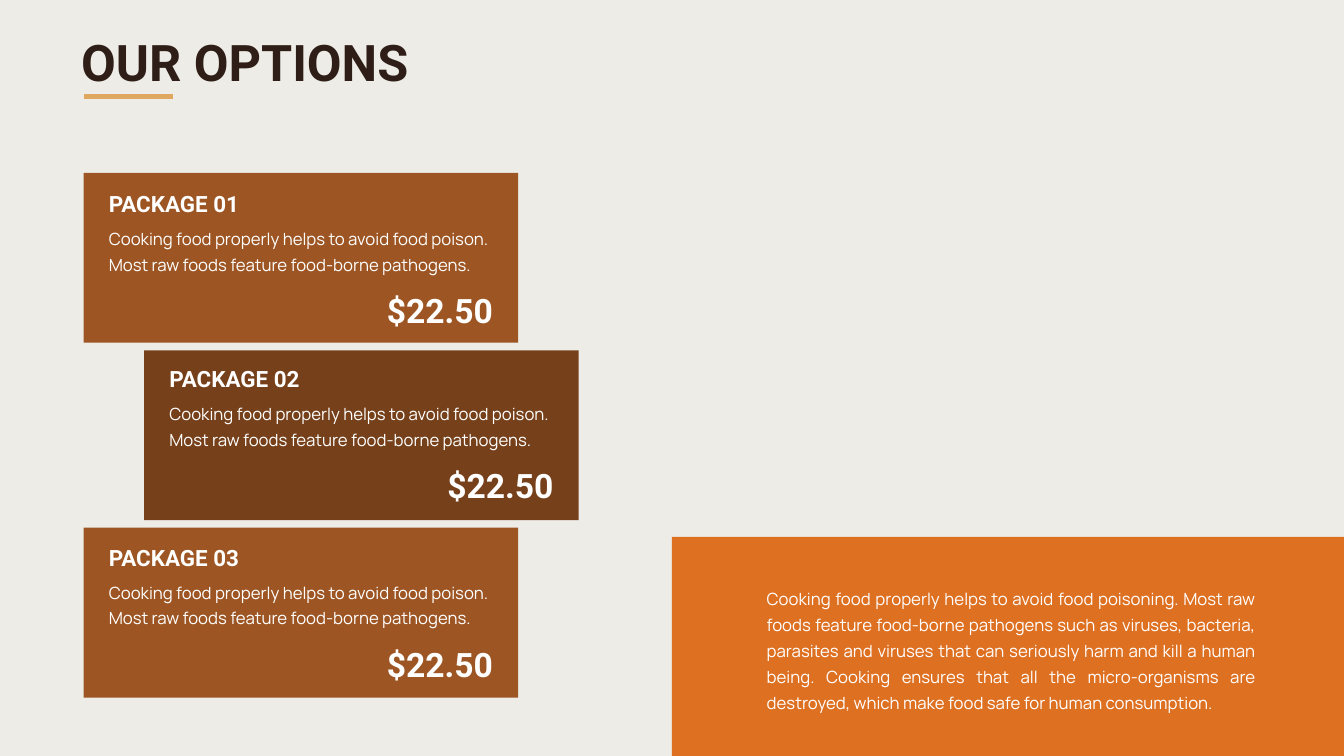
from pptx import Presentation
from pptx.dml.color import RGBColor
from pptx.enum.shapes import MSO_CONNECTOR, MSO_SHAPE
from pptx.enum.text import MSO_ANCHOR, MSO_AUTO_SIZE, PP_ALIGN
from pptx.oxml.ns import qn
from pptx.util import Inches, Pt

RECT, STRAIGHT = MSO_SHAPE.RECTANGLE, MSO_CONNECTOR.STRAIGHT
TOP, MIDDLE = MSO_ANCHOR.TOP, MSO_ANCHOR.MIDDLE
LEFT, RIGHT, JUSTIFY = PP_ALIGN.LEFT, PP_ALIGN.RIGHT, PP_ALIGN.JUSTIFY

CREAM = RGBColor(0xEE, 0xEC, 0xE6)
ORANGE = RGBColor(0xDE, 0x70, 0x22)
BROWN = RGBColor(0x9D, 0x55, 0x23)
DARK_BROWN = RGBColor(0x76, 0x40, 0x1A)
INK = RGBColor(0x2F, 0x1E, 0x18)
GOLD = RGBColor(0xDF, 0xA8, 0x5E)
WHITE = RGBColor(0xFF, 0xFF, 0xFF)

SLIDE_W, SLIDE_H = 26.66, 15
MARGIN = 1.66
CARD_W, CARD_H = 8.62, 3.37
CARD_TOP, CARD_PITCH, CARD_SHIFT = 3.43, 3.52, 1.2
PADDING = 0.4

HEADING = {"name": "Roboto", "size": Pt(32), "bold": True}
PRICE = {"name": "Roboto", "size": Pt(48), "bold": True}
TITLE = {"name": "Roboto", "size": Pt(72), "bold": True}
BODY = {"name": "Manrope", "size": Pt(24), "bold": False}

# name, price, column (0 or 1), fill, gap from card top to its text
PACKAGES = [
    ("PACKAGE 01", "$22.50", 0, BROWN, 0.29),
    ("PACKAGE 02", "$22.50", 1, DARK_BROWN, 0.24),
    ("PACKAGE 03", "$22.50", 0, BROWN, 0.27),
]
PACKAGE_TEXT = ("Cooking food properly helps to avoid food poison. "
                "Most raw foods feature food-borne pathogens.")
SAFETY_TEXT = (
    "Cooking food properly helps to avoid food poisoning. Most raw foods "
    "feature food-borne pathogens such as viruses, bacteria, parasites and "
    "viruses that can seriously harm and kill a human being. Cooking ensures "
    "that all the micro-organisms are destroyed, which make food safe for "
    "human consumption.")


def add_panel(s, x, y, w, h, color):
    sp = s.shapes.add_shape(RECT, Inches(x), Inches(y), Inches(w), Inches(h))
    sp.shadow.inherit = False
    sp.fill.solid()
    sp.fill.fore_color.rgb = color
    sp.line.fill.background()


def fill_text(sp, text, font, color=WHITE, align=LEFT, anchor=TOP,
              wrap=False, spacing=None):
    tf = sp.text_frame
    tf.auto_size = MSO_AUTO_SIZE.NONE
    tf.word_wrap = wrap
    tf.vertical_anchor = anchor
    p = tf.paragraphs[0]
    p.alignment = align
    p.line_spacing = spacing
    r = p.add_run()
    r.text = text
    for key, value in font.items():
        setattr(r.font, key, value)
    r.font.color.rgb = color


def add_text(s, x, y, w, h, text, font, **options):
    sp = s.shapes.add_textbox(Inches(x), Inches(y), Inches(w), Inches(h))
    fill_text(sp, text, font, **options)


def add_body(s, x, y, w, h, text, align=LEFT):
    add_text(s, x, y, w, h, text, BODY, align=align, wrap=True, spacing=Pt(37))


def add_title(s, text):
    sp = s.shapes.title
    sp.left, sp.top = Inches(1.51), Inches(0.57)
    sp.width, sp.height = Inches(6.77), Inches(1.31)
    fill_text(sp, text, TITLE, color=INK)


def add_rule(s, x, y, w):
    line = s.shapes.add_connector(STRAIGHT, Inches(x), Inches(y),
                                  Inches(x + w), Inches(y))
    line.line.color.rgb = GOLD
    line.line.width = Pt(7)
    props = line._element.spPr
    props.append(props.makeelement(qn("a:effectLst"), {}))


def add_package(s, row, name, price, column, color, text_gap):
    x = MARGIN + column * CARD_SHIFT
    y = CARD_TOP + row * CARD_PITCH
    add_panel(s, x, y, CARD_W, CARD_H, color)
    x, y, w = x + PADDING, y + text_gap, CARD_W - 2 * PADDING
    add_text(s, x, y, 2.83, 0.64, name, HEADING, anchor=MIDDLE)
    add_body(s, x, y + 0.65, w, 1.09, PACKAGE_TEXT)
    add_text(s, x + w - 2.33, y + 1.98, 2.33, 0.91, price, PRICE,
             align=RIGHT, anchor=MIDDLE)


def main():
    prs = Presentation()
    prs.slide_width, prs.slide_height = Inches(SLIDE_W), Inches(SLIDE_H)
    s = prs.slides.add_slide(prs.slide_layouts[5])
    s.background.fill.solid()
    s.background.fill.fore_color.rgb = CREAM

    add_title(s, "OUR OPTIONS")
    add_rule(s, MARGIN, 1.92, 1.78)
    for row, package in enumerate(PACKAGES):
        add_package(s, row, *package)
    add_panel(s, SLIDE_W / 2, SLIDE_H * 0.71, SLIDE_W / 2, SLIDE_H * 0.29, ORANGE)
    add_body(s, 15.11, 11.52, 9.89, 2.65, SAFETY_TEXT, align=JUSTIFY)
    prs.save("out.pptx")


if __name__ == "__main__":
    main()
